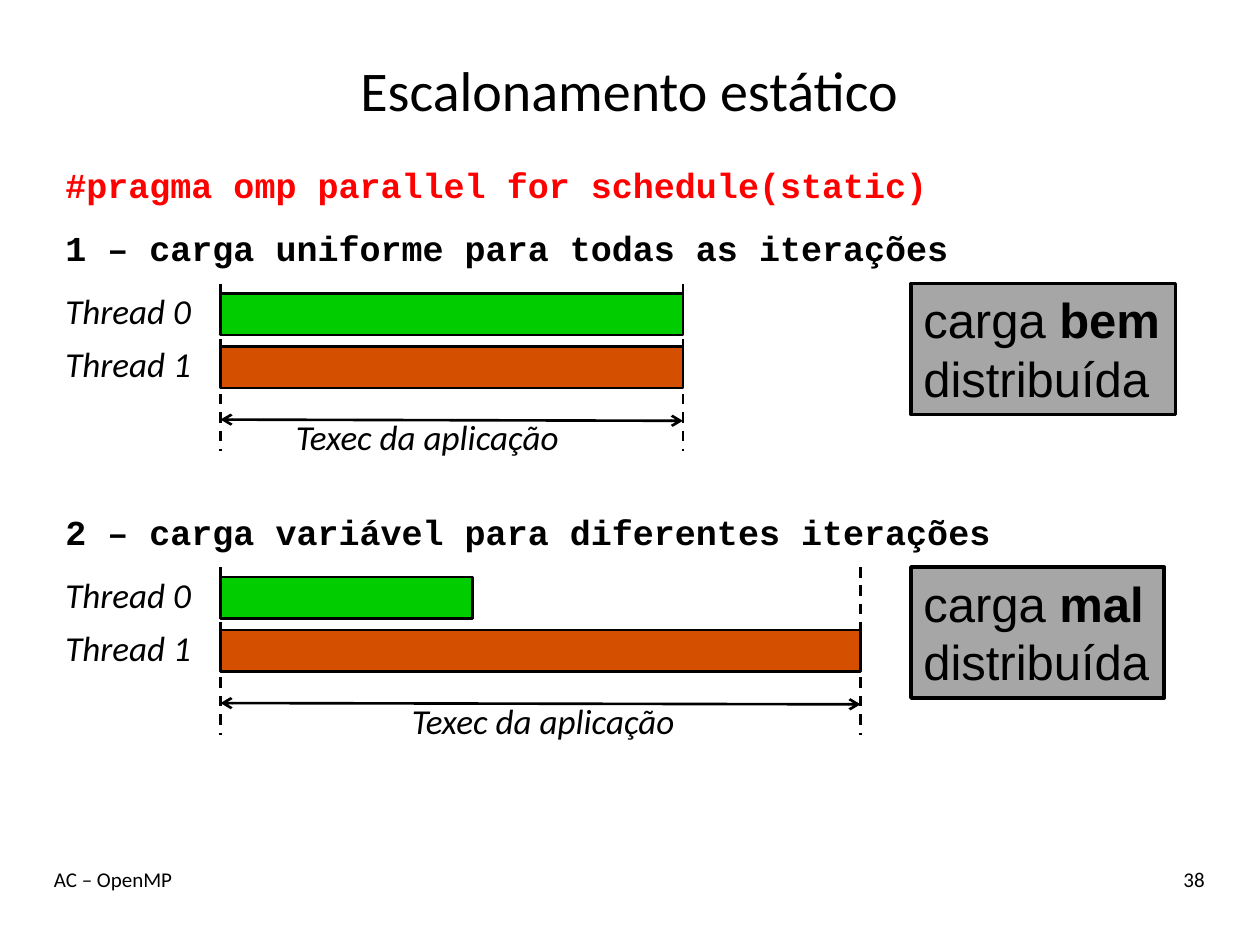
from lxml import etree
from pptx import Presentation
from pptx import util as u
from pptx.dml.color import RGBColor
from pptx.enum import dml, shapes, text
from pptx.oxml.ns import qn

# Content
TITLE = "Escalonamento estático"
PRAGMA = "#pragma omp parallel for schedule(static)"
FOOT, PAGE = "AC – OpenMP", "38"
SPAN = "Texec da aplicação"
THREADS = [("Thread 0", "00CC00"), ("Thread 1", "D45000")]
# Each case: top, heading, bar widths, left of span label, verdict word, verdict width
CASES = [
    (1.75, "1 – carga uniforme para todas as iterações", (3.67, 3.67), 2.25, "bem", 2.1),
    (4.0, "2 – carga variável para diferentes iterações", (2.0, 5.08), 3.17, "mal", 2.01),
]
LEFT, START, NOTE = 0.42, 1.75, 7.23  # columns: text, bars, verdicts
BAR, STEP = 0.33, 0.42

prs = Presentation()
prs.slide_width, prs.slide_height = u.Inches(10), u.Inches(7.5)
slide = prs.slides.add_slide(prs.slide_layouts[6])


def color(code):
    return RGBColor.from_string(code)


def style(run, size, face, code="000000", bold=False, slant=False):
    font = run.font
    font.size, font.name = u.Pt(size), face
    font.bold, font.italic = bold, slant
    font.color.rgb = color(code)


def label(words, box, size, face, align=text.PP_ALIGN.LEFT, **look):
    frame = slide.shapes.add_textbox(*map(u.Inches, box)).text_frame
    frame.word_wrap = True
    frame.text = words
    para = frame.paragraphs[0]
    para.alignment = align
    style(para.runs[0], size, face, **look)
    return frame


def code_line(words, top, code="000000"):
    label(words, (LEFT, top, 9.25, 0.58), 20, "Courier New", code=code, bold=True)


def rect(box, fill, width):
    shape = slide.shapes.add_shape(shapes.MSO_SHAPE.RECTANGLE, *map(u.Inches, box))
    shape.shadow.inherit = False
    shape.fill.solid()
    shape.fill.fore_color.rgb = color(fill)
    shape.line.color.rgb = color("000000")
    shape.line.width = u.Pt(width)
    return shape


def rule(x1, y1, x2, y2):
    line = slide.shapes.add_connector(
        shapes.MSO_CONNECTOR.STRAIGHT, *map(u.Inches, (x1, y1, x2, y2)))
    line.line.color.rgb = color("000000")
    line.line.width = u.Pt(1.5)
    etree.SubElement(line._element.spPr, qn("a:effectLst"))
    return line


def verdict(word, top, width):
    frame = rect((NOTE, top, width, 1.04), "A6A6A6", 2).text_frame
    frame.word_wrap = False
    frame.auto_size = text.MSO_AUTO_SIZE.SHAPE_TO_FIT_TEXT
    frame.vertical_anchor = text.MSO_ANCHOR.TOP
    frame.text = "carga \ndistribuída"
    frame.paragraphs[0].add_run().text = word
    for para in frame.paragraphs:
        para.alignment = text.PP_ALIGN.LEFT
        for run in para.runs:
            style(run, 28, "Arial", bold=run.text == word)


def case(top, head, bars, mid, word, width):
    base = top + 0.5
    end = START + max(bars)
    label(SPAN, (mid, top + 1.5, 2.67, 0.5), 20, "Calibri", slant=True)
    code_line(head, top)
    # Threads and their bars
    for i, ((name, fill), size) in enumerate(zip(THREADS, bars)):
        y = base + i * STEP
        label(name, (LEFT, y, 1.33, 0.5), 20, "Calibri", slant=True)
        rect((START, y + 0.08, size, BAR), fill, 1.5)
    # Limits and time span
    for x in (START, end):
        rule(x, base, x, base + 1.33).line.dash_style = dml.MSO_LINE.DASH
    arrow = rule(START, base + 1.08, end, base + 1.09)
    tips = [etree.Element(qn(tag), type="arrow") for tag in ("a:headEnd", "a:tailEnd")]
    arrow.line._get_or_add_ln().extend(tips)
    verdict(word, base, width)


# Title, directive and footer
title = label(TITLE, (0.33, 0.25, 9.33, 0.92), 32, "Calibri", text.PP_ALIGN.CENTER)
title.vertical_anchor = text.MSO_ANCHOR.MIDDLE
label(FOOT, (0.33, 6.83, 7, 0.5), 12, "Calibri")
label(PAGE, (8.33, 6.83, 1.33, 0.5), 12, "Calibri", text.PP_ALIGN.RIGHT)
code_line(PRAGMA, 1.25, "FF0000")

# Both load cases
for item in CASES:
    case(*item)

prs.save("out.pptx")
